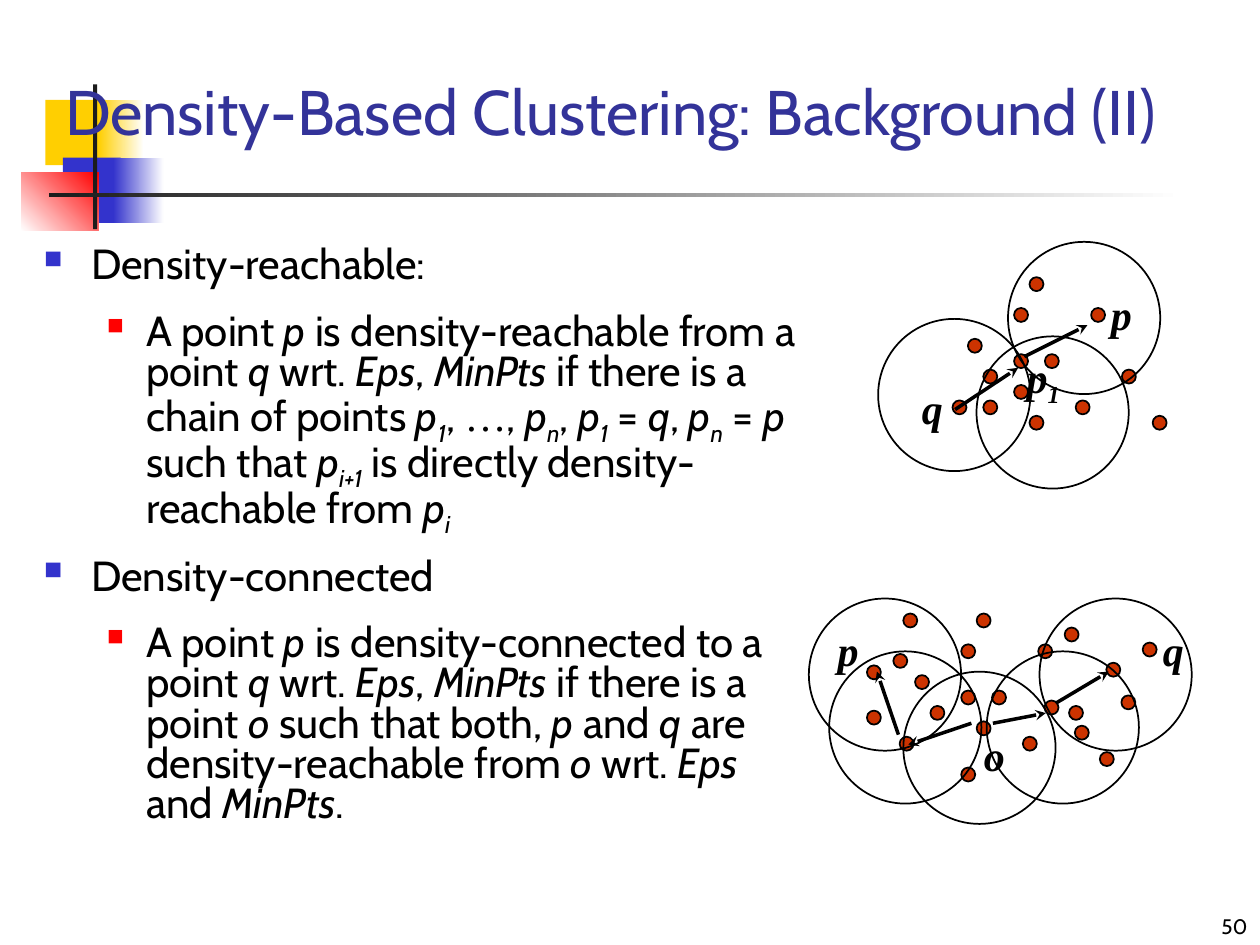
from lxml.etree import SubElement
from pptx import Presentation
from pptx.dml.color import RGBColor
from pptx.enum.shapes import MSO_CONNECTOR as Connector, MSO_SHAPE as Shape
from pptx.enum.text import MSO_ANCHOR as Anchor, MSO_AUTO_SIZE as AutoSize, PP_ALIGN as Align
from pptx.oxml.ns import qn
from pptx.util import Pt


def color(hex_value):
    return RGBColor.from_string(hex_value)


class SlideBuilder:
    sans, serif = "Cabin", "Times New Roman"
    black, title_blue, dot_red = "000000", "333399", "CC3300"
    dot_size, circle_size, grid_step = 8, 87, 8.8
    bullets = [("3333CC", 60, 27, -27), ("FF0000", 55, 58.5, -22.5)]

    def __init__(self, slide):
        self.slide = slide
        self.shapes = slide.shapes

    def begin_group(self):
        self.shapes = self.slide.shapes.add_group_shape().shapes

    def font(self, paragraph, size, name, hex_value, bold=None, italic=None):
        font = paragraph.font
        font.size, font.name, font.bold, font.italic = Pt(size), name, bold, italic
        font.color.rgb = color(hex_value)

    def block(self, left, top, width, height, start, end=None, angle=0):
        block = self.shapes.add_shape(Shape.RECTANGLE, Pt(left), Pt(top), Pt(width), Pt(height))
        block.shadow.inherit = False
        block.line.fill.background()
        if end is None:
            block.fill.solid()
            block.fill.fore_color.rgb = color(start)
            return
        block.fill.gradient()
        block.fill.gradient_angle = angle
        for stop, hex_value in zip(block.fill.gradient_stops, (start, end)):
            stop.color.rgb = color(hex_value)

    def ellipse(self, left, top, size, fill=None):
        ellipse = self.shapes.add_shape(Shape.OVAL, Pt(left), Pt(top), Pt(size), Pt(size))
        ellipse.shadow.inherit = False
        ellipse.line.color.rgb = color(self.black)
        ellipse.line.width = Pt(1)
        if fill:
            ellipse.fill.solid()
            ellipse.fill.fore_color.rgb = color(fill)
        else:
            ellipse.fill.background()

    def dots(self, positions):
        for left, top in positions:
            self.ellipse(left, top, self.dot_size, self.dot_red)

    def grid_dots(self, left, top, cells):
        self.dots((left + col * self.grid_step, top + row * self.grid_step) for col, row in cells)

    def circles(self, positions):
        for left, top in positions:
            self.ellipse(left, top, self.circle_size)

    def arrows(self, routes):
        for route in routes:
            arrow = self.shapes.add_connector(Connector.STRAIGHT, *map(Pt, route))
            arrow.line.color.rgb = color(self.black)
            arrow.line.width = Pt(2)
            SubElement(arrow.line._get_or_add_ln(), qn("a:tailEnd"), type="stealth")
            SubElement(arrow.element.spPr, qn("a:effectLst"))

    def text_box(self, left, top, width, height):
        frame = self.shapes.add_textbox(Pt(left), Pt(top), Pt(width), Pt(height)).text_frame
        frame.word_wrap = True
        return frame

    def marked_text(self, paragraph, text):
        for index, piece in enumerate(text.split("|")):
            marked = index % 2 == 1
            base, _, subscript = piece.partition("_")
            for part, offset in ((base, None), (subscript, "-25000")):
                if not part:
                    continue
                run = paragraph.add_run()
                run.text = part
                if part == "…":
                    run.font.name = self.serif
                elif marked:
                    run.font.italic = True
                if offset:
                    run.font._element.set("baseline", offset)

    def labels(self, items):
        for text, left, top, width in items:
            paragraph = self.text_box(left, top, width, 36).paragraphs[0]
            self.marked_text(paragraph, f"|{text}|")
            self.font(paragraph, 24, self.serif, self.black, bold=True, italic=True)

    def title(self, text, left, top, width, height):
        title = self.slide.shapes.title
        title.left, title.top, title.width, title.height = map(Pt, (left, top, width, height))
        frame = title.text_frame
        frame.text = text
        frame.auto_size = AutoSize.NONE
        frame.vertical_anchor = Anchor.MIDDLE
        frame.paragraphs[0].alignment = Align.LEFT
        self.font(frame.paragraphs[0], 36, self.sans, self.title_blue)
        title.element.getparent().append(title.element)

    def page_number(self, text, left, top, width, height):
        frame = self.text_box(left, top, width, height)
        frame.vertical_anchor = Anchor.BOTTOM
        paragraph = frame.paragraphs[0]
        paragraph.text = text
        paragraph.alignment = Align.RIGHT
        self.font(paragraph, 12, self.sans, self.black)

    def bullet_list(self, items, left, top, width, height):
        frame = self.text_box(left, top, width, height)
        for index, (level, text) in enumerate(items):
            paragraph = frame.add_paragraph() if index else frame.paragraphs[0]
            paragraph.level = level
            paragraph.line_spacing = 0.8
            paragraph.space_before = Pt(15 if index else 0)
            hex_value, percent, margin, indent = self.bullets[level]
            properties = paragraph._p.get_or_add_pPr()
            properties.set("marL", str(Pt(margin)))
            properties.set("indent", str(Pt(indent)))
            bullet_color = SubElement(properties, qn("a:buClr"))
            SubElement(bullet_color, qn("a:srgbClr"), val=hex_value)
            SubElement(properties, qn("a:buSzPct"), val=str(percent * 1000))
            SubElement(properties, qn("a:buChar"), char="■")
            self.font(paragraph, 24, self.sans, self.black)
            self.marked_text(paragraph, text)


def main():
    deck = Presentation()
    deck.slide_width, deck.slide_height = Pt(720), Pt(540)
    builder = SlideBuilder(deck.slides.add_slide(deck.slide_layouts[5]))

    yellow, blue, red, charcoal, white = "FFCF01", "3333CC", "FF0000", "1C1C1C", "FFFFFF"
    builder.block(26, 57, 34.5, 37.4, yellow)
    builder.block(56.2, 57, 26, 37.4, yellow, white)
    builder.block(36, 90, 33, 37.4, blue)
    builder.block(64.8, 90, 28.8, 37.4, blue, white)
    builder.block(12.2, 98.6, 44, 33.2, white, red, 45)
    builder.block(53.3, 48.2, 2.2, 82.8, charcoal)
    builder.block(28.1, 110.2, 648, 2.2, charcoal, white)

    builder.page_number("50", 570, 510, 150, 30)
    builder.title("Density-Based Clustering: Background (II)", 30, 30, 690, 66)
    builder.bullet_list([
        (0, "Density-reachable:"),
        (1, "A point |p| is density-reachable from a point |q| wrt. |Eps|, |MinPts| if there is a "
            "chain of points |p_1|, |…|, |p_n|, |p_1| = |q|, |p_n| = |p| such that |p_i+1| is "
            "directly density-reachable from |p_i|"),
        (0, "Density-connected"),
        (1, "A point |p| is density-connected to a point |q| wrt. |Eps|, |MinPts| if there is a "
            "point |o |such that both, |p| and |q| are density-reachable from |o| wrt. |Eps| and "
            "|MinPts|."),
    ], 18, 138, 444, 366)

    builder.grid_dots(544.3, 158.4, [
        (1, 4), (4, 5), (4, 2), (0, 8), (2, 6), (2, 8), (5, 9), (5, 0), (11, 6), (9, 2),
        (4, 7), (6, 5), (8, 8), (13, 9)])
    builder.circles([(558, 192.2), (501.8, 182.2), (576, 138.2)])
    builder.labels([("p", 627.8, 161.3, 30), ("q", 519.8, 215.3, 30), ("p_1", 579.6, 197.3, 48)])
    builder.arrows([(585.4, 203.8, 621.4, 185.8), (545.8, 234, 581.8, 210.2)])

    builder.begin_group()
    builder.grid_dots(514.1, 350.6, [
        (1, 4), (4, 5), (4, 2), (0, 8), (2, 6), (4, 10), (5, 7), (5, 0), (11, 6), (9, 2),
        (6, 5), (8, 8), (13, 9)])
    builder.dots([
        (495.4, 406.1), (640.8, 397.4), (596.9, 400.3), (614.2, 414.7), (653, 367.2),
        (608.4, 358.6), (632.2, 378.7), (510.5, 373.7), (495.4, 380.2), (516.2, 350.6)])
    builder.circles([
        (473.8, 372.2), (516.2, 383.8), (563.8, 372.2), (594, 342), (462.2, 342)])
    builder.arrows([
        (555.1, 413.3, 519.1, 425.5), (567.4, 413.3, 597.6, 407.5),
        (513.4, 419.8, 501.1, 383.8), (603.4, 401.8, 633.6, 383.8)])
    builder.labels([("p", 471.6, 353.5, 30), ("q", 657.4, 353.5, 30), ("o", 555.1, 413.3, 30)])

    deck.save("out.pptx")


if __name__ == "__main__":
    main()
